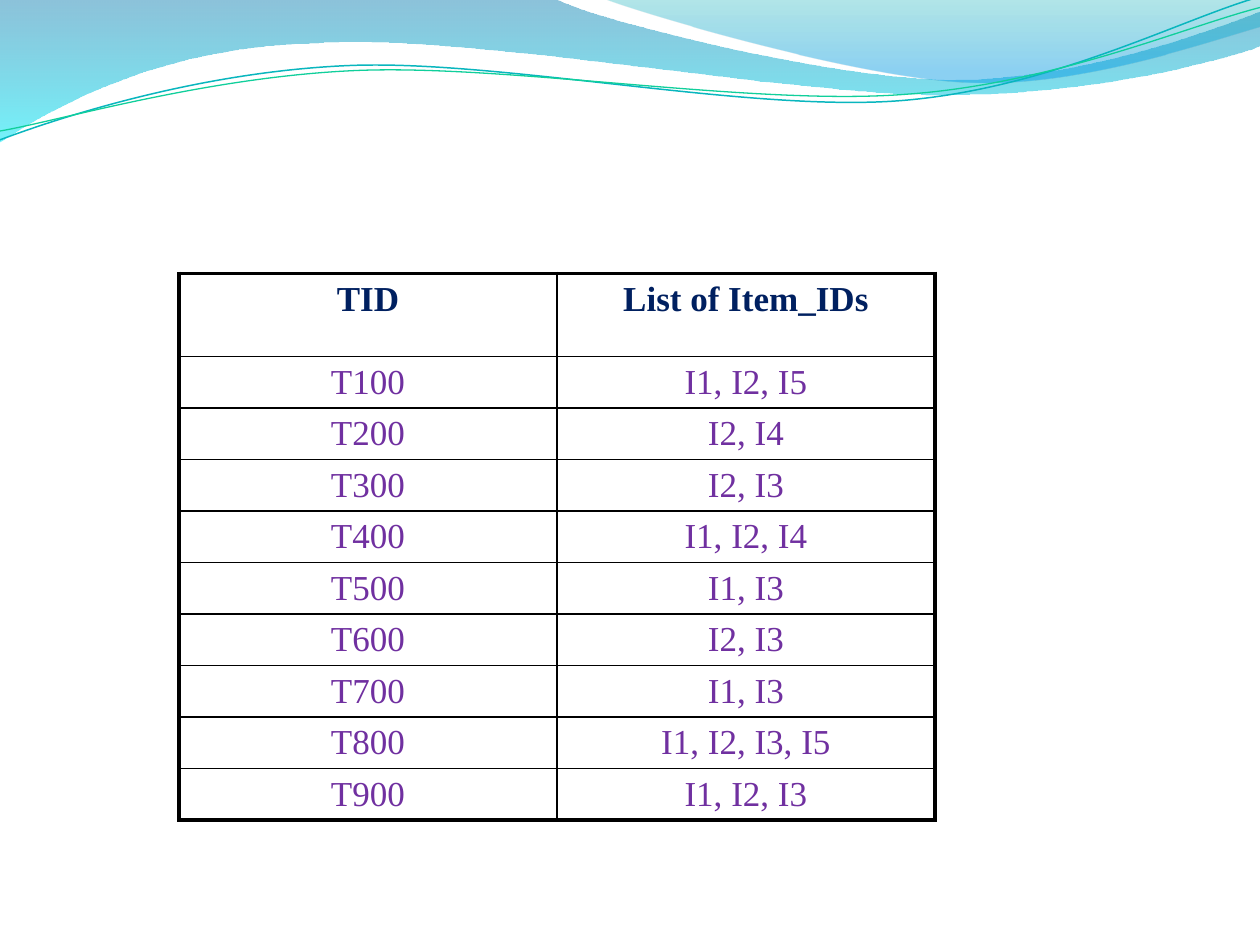
import math
from dataclasses import dataclass
from typing import Optional

import lxml.etree
import pptx
import pptx.dml.color
import pptx.enum.text
import pptx.oxml
import pptx.oxml.ns
import pptx.util

RGBColor = pptx.dml.color.RGBColor
Inches = pptx.util.Inches
Pt = pptx.util.Pt
qn = pptx.oxml.ns.qn

BLACK = RGBColor(0x00, 0x00, 0x00)
NAVY = RGBColor(0x00, 0x20, 0x60)
PURPLE = RGBColor(0x70, 0x30, 0xA0)
STEEL = RGBColor(0x00, 0x79, 0xAD)
CYAN = RGBColor(0x00, 0xE9, 0xF7)
TEAL = RGBColor(0x00, 0xAB, 0xB4)
BLUE = RGBColor(0x00, 0x99, 0xE4)
LINE_TEAL = RGBColor(0x09, 0xB6, 0xBE)
LINE_GREEN = RGBColor(0x10, 0xCF, 0x9B)

THIN, THICK = 1, 2.25
LINE_TILT = -2.7
HEADER_FORMAT = {"name": "Times New Roman", "size": Pt(20), "bold": True}
BODY_FORMAT = {**HEADER_FORMAT, "bold": False}


@dataclass
class GradientStop:
    position: int
    color: RGBColor
    opacity: int


@dataclass
class Wave:
    """Each segment is an end point (2 numbers) or a Bezier curve (6 numbers)."""
    start: tuple
    segments: list
    stops: Optional[list] = None
    line_color: Optional[RGBColor] = None
    line_width: float = 0
    center: tuple = (0, 0)
    rotation: float = 0


WAVES = [
    Wave((0, 0), [
        (4.4, -0.01),
        (4.76, 0.17, 6.64, 0.63, 7.58, 0.63),
        (8.53, 0.63, 9.58, 0.26, 10, 0.09),
        (10.01, 0.36),
        (9.83, 0.44, 8.7, 0.76, 7.46, 0.75),
        (6.22, 0.75, 3.82, 0.28, 2.57, 0.34),
        (1.29, 0.36, 0.46, 0.83, -0.01, 1.13),
        (0, 0),
    ], stops=[GradientStop(0, STEEL, 45), GradientStop(100, CYAN, 55)]),
    Wave((4.79, -0.01), [
        (5.09, 0.11, 6.82, 0.62, 7.69, 0.65),
        (8.56, 0.69, 9.61, 0.32, 10, 0.21),
        (10, 0),
        (4.79, -0.01),
    ], stops=[GradientStop(0, TEAL, 30), GradientStop(80, BLUE, 45),
              GradientStop(100, BLUE, 45)]),
    Wave((0, 1.11), [
        (0.48, 0.93, 1.58, 0.57, 2.77, 0.52),
        (3.95, 0.47, 5.93, 0.89, 7.13, 0.8),
        (8.33, 0.71, 9.38, 0.15, 9.98, -0.02),
    ], line_color=LINE_TEAL, line_width=0.85, center=(4.99, 0.57), rotation=LINE_TILT),
    Wave((0, 1.04), [
        (0.47, 0.96, 1.64, 0.61, 2.83, 0.56),
        (4.03, 0.51, 5.97, 0.84, 7.17, 0.75),
        (8.36, 0.67, 9.41, 0.21, 10, 0.06),
    ], line_color=LINE_GREEN, line_width=0.75, center=(5, 0.59), rotation=LINE_TILT),
]

HEADERS = ("TID", "List of Item_IDs")
ITEM_LISTS = ["I1, I2, I5", "I2, I4", "I2, I3", "I1, I2, I4", "I1, I3",
              "I2, I3", "I1, I3", "I1, I2, I3, I5", "I1, I2, I3"]
ROWS = [HEADERS] + [(f"T{number}00", items)
                    for number, items in enumerate(ITEM_LISTS, start=1)]


def level_point(wave: Wave, x: float, y: float) -> tuple:
    """Turn a point back about the wave's center, as the shape itself is rotated."""
    angle = math.radians(-wave.rotation)
    dx, dy = x - wave.center[0], y - wave.center[1]
    return (Inches(wave.center[0] + dx * math.cos(angle) - dy * math.sin(angle)),
            Inches(wave.center[1] + dx * math.sin(angle) + dy * math.cos(angle)))


def bend_curves(shape, segments: list) -> None:
    """Join the three vertices of each Bezier segment into one curve."""
    vertices = iter(list(shape.element.iter(qn("a:lnTo"))))
    for segment in segments:
        first = next(vertices)
        if len(segment) == 2:
            continue
        curve = lxml.etree.Element(qn("a:cubicBezTo"))
        first.addprevious(curve)
        for vertex in (first, next(vertices), next(vertices)):
            curve.append(vertex[0])
            vertex.getparent().remove(vertex)


def fill_gradient(shape, stops: list) -> None:
    """Give the shape a vertical gradient with transparent stops."""
    stop_xml = "".join(
        f'<a:gs pos="{stop.position * 1000}"><a:srgbClr val="{stop.color}">'
        f'<a:alpha val="{stop.opacity * 1000}"/></a:srgbClr></a:gs>'
        for stop in stops)
    gradient = pptx.oxml.parse_xml(
        f'<a:gradFill {pptx.oxml.ns.nsdecls("a")} rotWithShape="1"><a:gsLst>{stop_xml}'
        '</a:gsLst><a:lin ang="5400000" scaled="0"/></a:gradFill>')
    shape.element.spPr.find(qn("a:custGeom")).addnext(gradient)


def draw_wave(slide, wave: Wave) -> None:
    points = [level_point(wave, *segment[index:index + 2])
              for segment in [wave.start] + wave.segments
              for index in range(0, len(segment), 2)]
    builder = slide.shapes.build_freeform(*points[0])
    builder.add_line_segments(points[1:], close=wave.stops is not None)
    shape = builder.convert_to_shape()
    bend_curves(shape, wave.segments)
    shape.rotation = wave.rotation
    shape.shadow.inherit = False
    if wave.stops:
        fill_gradient(shape, wave.stops)
        shape.line.fill.background()
    else:
        shape.fill.background()
        shape.line.color.rgb = wave.line_color
        shape.line.width = Pt(wave.line_width)


def set_borders(cell, widths: dict) -> None:
    """Draw black cell borders; the sides come in the order left, right, top, bottom."""
    properties = cell._tc.get_or_add_tcPr()
    for index, (side, width) in enumerate(widths.items()):
        properties.insert(index, pptx.oxml.parse_xml(
            f'<a:ln{side} {pptx.oxml.ns.nsdecls("a")} w="{Pt(width)}">'
            f'<a:solidFill><a:srgbClr val="{BLACK}"/></a:solidFill></a:ln{side}>'))


def write_cell(cell, text: str, font_format: dict, color: RGBColor) -> None:
    cell.fill.background()
    paragraph = cell.text_frame.paragraphs[0]
    paragraph.alignment = pptx.enum.text.PP_ALIGN.CENTER
    run = paragraph.add_run()
    run.text = text
    for name, value in font_format.items():
        setattr(run.font, name, value)
    run.font.color.rgb = color


def draw_transactions(slide) -> None:
    last_row, last_column = len(ROWS) - 1, len(HEADERS) - 1
    table = slide.shapes.add_table(len(ROWS), len(HEADERS), Inches(1.42), Inches(2.17),
                                   Inches(6), Inches(4.08)).table
    table.first_row = table.horz_banding = False
    for column in table.columns:
        column.width = Inches(3)
    for row_index, texts in enumerate(ROWS):
        is_header = row_index == 0
        table.rows[row_index].height = Inches(0.66 if is_header else 0.38)
        for column_index, text in enumerate(texts):
            cell = table.cell(row_index, column_index)
            write_cell(cell, text, HEADER_FORMAT if is_header else BODY_FORMAT,
                       NAVY if is_header else PURPLE)
            set_borders(cell, {
                "L": THICK if column_index == 0 else THIN,
                "R": THICK if column_index == last_column else THIN,
                "T": THICK if is_header else THIN,
                "B": THICK if row_index == last_row else THIN,
            })


def main() -> None:
    presentation = pptx.Presentation()
    presentation.slide_width = Inches(10)
    presentation.slide_height = Inches(7.5)
    slide = presentation.slides.add_slide(presentation.slide_layouts[6])

    # Waves along the top edge
    for wave in WAVES:
        draw_wave(slide, wave)

    # Transaction table
    draw_transactions(slide)
    presentation.save("out.pptx")


if __name__ == "__main__":
    main()
